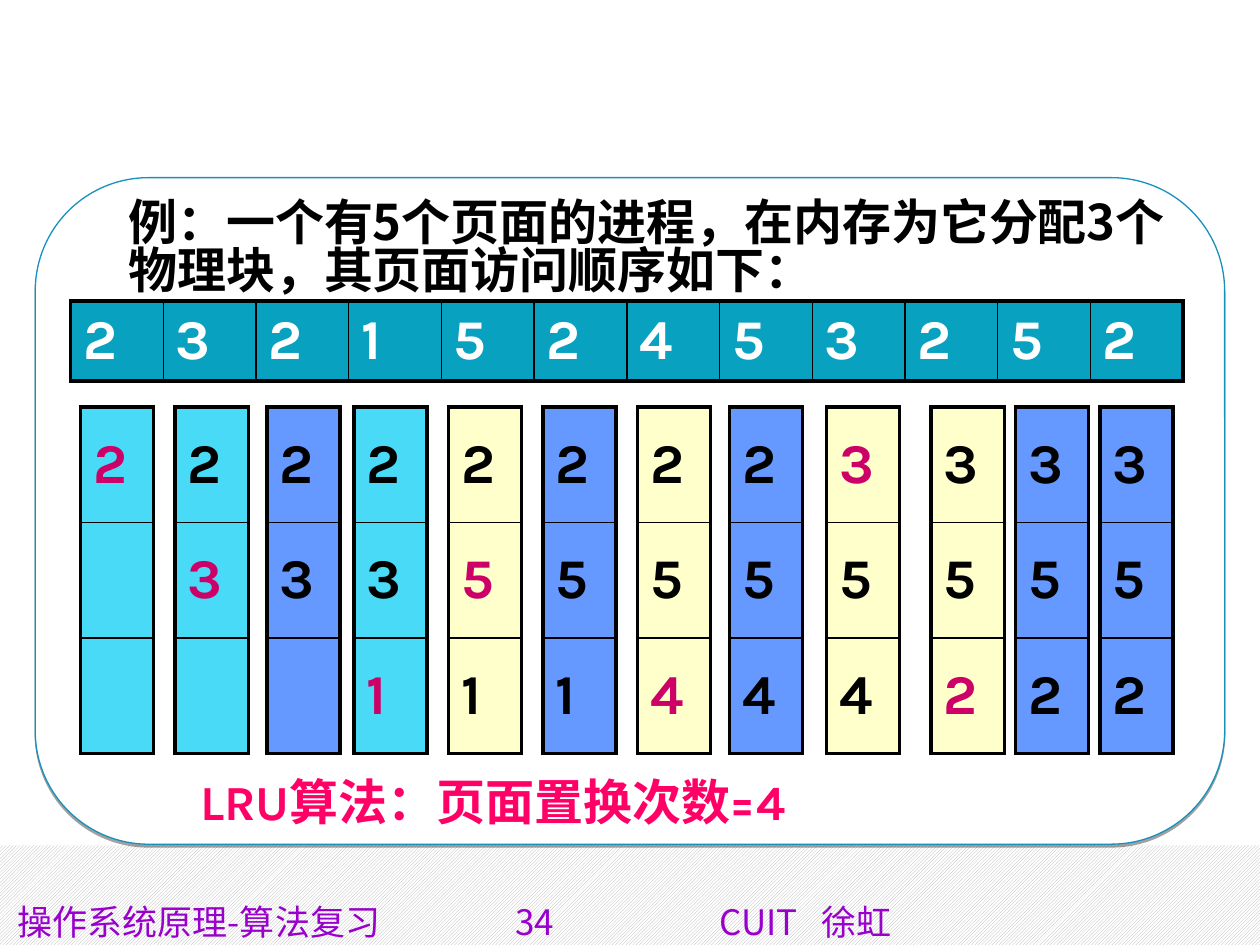
from pptx import Presentation
from pptx.dml.color import RGBColor as RGB
from pptx.enum.dml import MSO_PATTERN
from pptx.enum.shapes import MSO_SHAPE as SHAPE
from pptx.enum.text import MSO_ANCHOR as ANCHOR
from pptx.oxml import parse_xml
from pptx.oxml.ns import nsdecls
from pptx.util import Inches, Pt

THEME = {
    "cjk": "Noto Sans CJK SC", "latin": "Karla",
    "footer_size": 20, "body_size": 28, "page_size": 32,
    "ink": "000000", "paper": "FFFFFF", "hatch": "B2B2B2", "frame": "1790BB",
    "footer": "9900CC", "result": "FF0066", "header": "08A1C0", "fresh": "CC0066",
    "load": "49DAF7", "hit": "6699FF", "swap": "FFFFCC",
    "thick": 2.25, "thin": 1,
}

QUESTION = "例：一个有5个页面的进程，在内存为它分配3个物理块，其页面访问顺序如下："
RESULT = "LRU算法：页面置换次数=4"
FOOTER = ["操作系统原理-算法复习", "34", "CUIT", "徐虹"]
FOOTER_TABS = [3.95, 5.57, 6.38]

# page asked for, what happens, memory blocks afterwards, left edge
STEPS = [
    ("2", "load", ["2", "", ""], 0.64),
    ("3", "load", ["2", "3", ""], 1.39),
    ("2", "hit", ["2", "3", ""], 2.12),
    ("1", "load", ["2", "3", "1"], 2.81),
    ("5", "swap", ["2", "5", "1"], 3.56),
    ("2", "hit", ["2", "5", "1"], 4.31),
    ("4", "swap", ["2", "5", "4"], 5.06),
    ("5", "hit", ["2", "5", "4"], 5.79),
    ("3", "swap", ["3", "5", "4"], 6.56),
    ("2", "swap", ["3", "5", "2"], 7.39),
    ("5", "hit", ["3", "5", "2"], 8.06),
    ("2", "hit", ["3", "5", "2"], 8.73),
]


def color(name):
    return RGB.from_string(THEME[name])


def write(p, text, font, size, ink, bold=True):
    r = p.add_run()
    r.text = text
    for key, value in {"name": THEME[font], "size": Pt(THEME[size]), "bold": bold}.items():
        setattr(r.font, key, value)
    r.font.color.rgb = color(ink)
    r._r.get_or_add_rPr().append(
        parse_xml(f'<a:ea {nsdecls("a")} typeface="{THEME["cjk"]}"/>'))


def add_text(s, box, anchor=ANCHOR.TOP, spacing=1.0):
    tf = s.shapes.add_textbox(*map(Inches, box)).text_frame
    for key, value in {"word_wrap": True, "vertical_anchor": anchor}.items():
        setattr(tf, key, value)
    p = tf.paragraphs[0]
    p.line_spacing = spacing
    return p


def add_border(cell, side, weight):
    cell._tc.get_or_add_tcPr().append(parse_xml(
        f'<a:ln{side} {nsdecls("a")} w="{Pt(THEME[weight])}"><a:solidFill>'
        f'<a:srgbClr val="{THEME["ink"]}"/></a:solidFill></a:ln{side}>'))


def add_grid(s, box, rows, fill, ink_of):
    """Add a table with a thick outline and thin inner lines; ink_of maps a page to its colour."""
    n_rows, n_cols = len(rows), len(rows[0])
    table = s.shapes.add_table(n_rows, n_cols, *map(Inches, box)).table
    table.first_row = table.horz_banding = False
    for i, row in enumerate(rows):
        for j, page in enumerate(row):
            cell = table.cell(i, j)
            outer = {"L": j == 0, "R": j == n_cols - 1, "T": i == 0, "B": i == n_rows - 1}
            for side, is_outer in outer.items():
                add_border(cell, side, "thick" if is_outer else "thin")
            cell.fill.solid()
            cell.fill.fore_color.rgb = color(fill)
            cell.vertical_anchor = ANCHOR.MIDDLE
            if page:
                write(cell.text_frame.paragraphs[0], page, "latin", "page_size", ink_of(page))


def add_background(s):
    band = s.shapes.add_shape(SHAPE.RECTANGLE, *map(Inches, (0, 6.71, 10, 0.79)))
    band.shadow.inherit = False
    band.line.fill.background()
    band.fill.patterned()
    band.fill.pattern = MSO_PATTERN.DARK_UPWARD_DIAGONAL
    band.fill.fore_color.rgb = color("hatch")
    band.fill.back_color.rgb = color("paper")

    panel = s.shapes.add_shape(SHAPE.ROUNDED_RECTANGLE, *map(Inches, (0.28, 1.41, 9.44, 5.29)))
    panel.adjustments[0] = 0.17
    panel.fill.solid()
    panel.fill.fore_color.rgb = color("paper")
    panel.line.color.rgb = color("frame")
    panel.line.width = Pt(0.75)
    panel._element.spPr.append(parse_xml(
        f'<a:effectLst {nsdecls("a")}><a:outerShdw blurRad="0" dist="{Pt(1.6)}" dir="5400000">'
        f'<a:srgbClr val="{THEME["ink"]}"><a:alpha val="37000"/></a:srgbClr>'
        '</a:outerShdw></a:effectLst>'))


def add_footer(s):
    p = add_text(s, (0.04, 7.1, 10, 0.4))
    stops = "".join(f'<a:tab pos="{Inches(x)}" algn="l"/>' for x in FOOTER_TABS)
    p._p.get_or_add_pPr().append(
        parse_xml(f'<a:tabLst {nsdecls("a")}>{stops}</a:tabLst>'))
    write(p, "\t".join(FOOTER), "cjk", "footer_size", "footer", bold=False)


def main():
    prs = Presentation()
    prs.slide_width, prs.slide_height = Inches(10), Inches(7.5)
    s = prs.slides.add_slide(prs.slide_layouts[6])
    add_background(s)
    add_footer(s)

    p = add_text(s, (0.92, 1.5, 8.52, 0.91), ANCHOR.BOTTOM, 0.8)
    write(p, QUESTION, "cjk", "body_size", "ink")
    p = add_text(s, (1.49, 6.13, 8.25, 0.57), spacing=0.9)
    write(p, RESULT, "latin", "body_size", "result")

    requests = [step[0] for step in STEPS]
    add_grid(s, (0.56, 2.39, 8.83, 0.63), [requests], "header", lambda page: "paper")
    for request, event, blocks, left in STEPS:
        fresh = None if event == "hit" else request
        add_grid(s, (left, 3.23, 0.58, 2.75), [[page] for page in blocks], event,
                 lambda page: "fresh" if page == fresh else "ink")
    prs.save("out.pptx")


if __name__ == "__main__":
    main()
